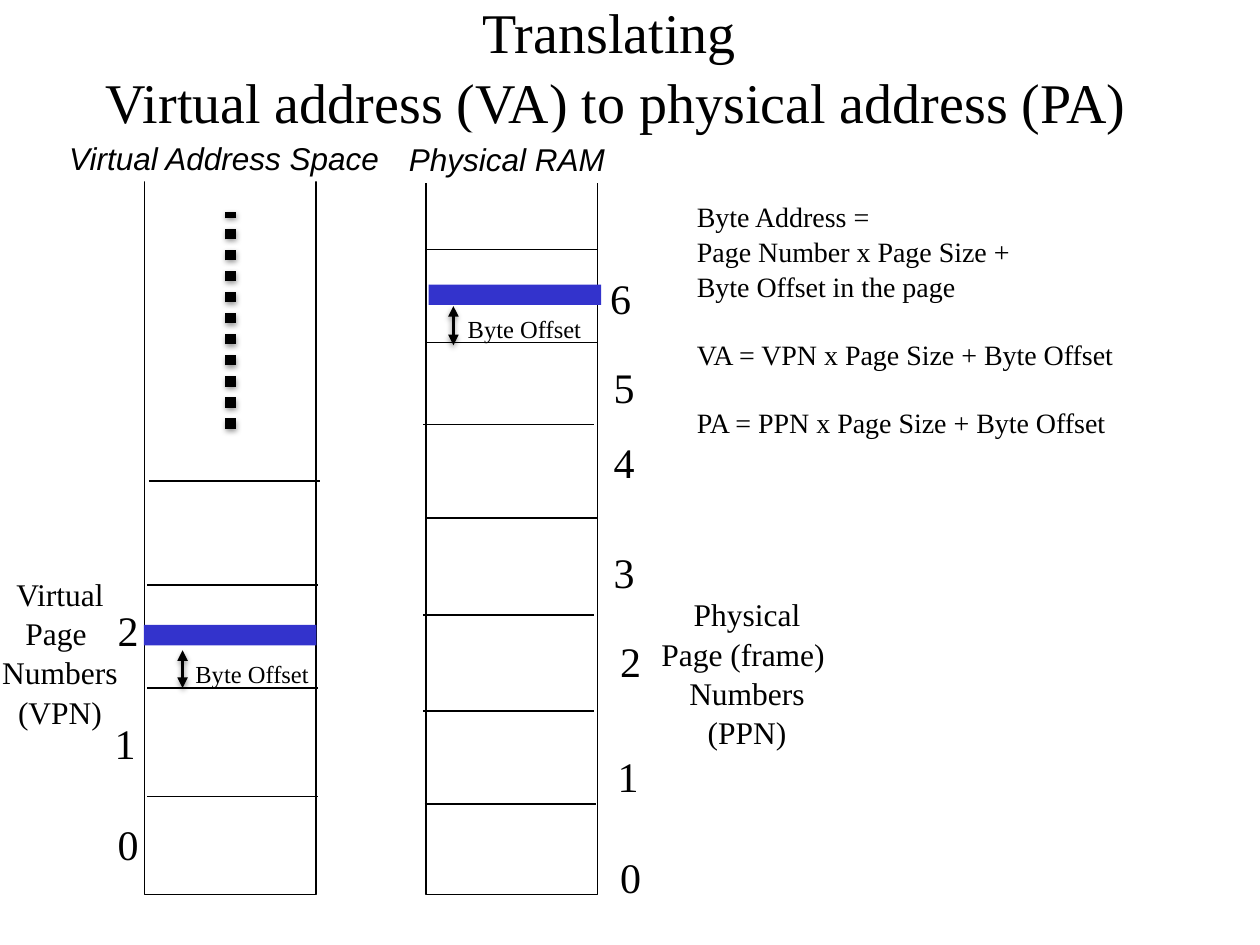
from lxml import etree
from pptx import Presentation
from pptx.dml.color import RGBColor
from pptx.enum.dml import MSO_LINE
from pptx.enum.shapes import MSO_CONNECTOR, MSO_SHAPE
from pptx.enum.text import MSO_ANCHOR, MSO_AUTO_SIZE, PP_ALIGN
from pptx.oxml import parse_xml
from pptx.oxml.ns import nsdecls, qn
from pptx.util import Cm, Pt

COLOURS = {"ink": "000000", "paper": "FFFFFF", "byte": "3333CC"}
SERIF, SANS = "Times New Roman", "Arial"
COLUMN_WIDTH = 3.45
COLUMN_BOTTOM = 18.03

TITLE = "Translating \vVirtual address (VA) to physical address (PA)"

# Positions in cm; dividers, pages and offset arrows are (left, top) points.
MEMORIES = [
    {
        "column": (2.92, 2.9),
        "heading": ("Virtual Address Space", 1.22, 2.64, 6.6),
        "dividers": [(2.97, 16.05), (2.97, 13.87), (2.97, 11.79), (3.0, 9.7)],
        "pages": [(2.24, 16.33), (2.18, 14.3), (2.24, 12.01)],
        "byte": (2.9, 12.6),
        "arrow": (3.68, 13.11, 13.87),
        "offset": (3.81, 13.13),
        "caption": (["Virtual", "Page ", "Numbers", "(VPN)"], 0, 11.43, 2.42),
    },
    {
        "column": (8.59, 3.48),
        "heading": ("Physical RAM", 8.1, 2.67, 4.24),
        "dividers": [(8.56, 16.21), (8.53, 14.33), (8.53, 12.4), (8.59, 10.44),
                     (8.53, 8.56), (8.59, 6.91), (8.59, 5.03)],
        "pages": [(12.37, 16.99), (12.32, 14.96), (12.37, 12.65), (12.24, 10.85),
                  (12.24, 8.64), (12.24, 7.11), (12.17, 5.33)],
        "byte": (8.64, 5.74),
        "arrow": (9.14, 6.17, 6.96),
        "offset": (9.3, 6.17),
        "caption": (["Physical", "Page (frame) ", "Numbers", "(PPN)"], 13.18, 11.84, 3.76),
    },
]

# Each formula line with the space before it in points.
FORMULAS = [
    ("Byte Address =", 0),
    ("Page Number x Page Size +", 0),
    ("Byte Offset in the page", 0),
    ("VA = VPN x Page Size + Byte Offset", 19),
    ("PA = PPN x Page Size + Byte Offset", 19),
]


def colour(name):
    return RGBColor.from_string(COLOURS[name])


def set_attributes(target, **values):
    for name, value in values.items():
        setattr(target, name, value)


def write(shape, lines, size, font=SERIF, align=PP_ALIGN.LEFT, italic=None,
          wrap=False, anchor=MSO_ANCHOR.TOP):
    """Fill the shape with (text, space before) lines in one format."""
    frame = shape.text_frame
    inset = Cm(0.13)
    set_attributes(frame, margin_left=inset, margin_right=inset, margin_top=inset,
                   margin_bottom=inset, word_wrap=wrap, vertical_anchor=anchor,
                   auto_size=MSO_AUTO_SIZE.NONE)
    for index, (text, space) in enumerate(lines):
        paragraph = frame.add_paragraph() if index else frame.paragraphs[0]
        paragraph.text = text
        set_attributes(paragraph, alignment=align, space_before=Pt(space),
                       space_after=Pt(0), line_spacing=1.04)
        for run in paragraph.runs:
            set_attributes(run.font, size=Pt(size), name=font, italic=italic)
            run.font.color.rgb = colour("ink")


def add_text(slide, lines, left, top, width, height, size, **style):
    box = slide.shapes.add_textbox(Cm(left), Cm(top), Cm(width), Cm(height))
    write(box, lines, size, **style)


def add_rectangle(slide, left, top, width, height, fill=None, line=None):
    shape = slide.shapes.add_shape(
        MSO_SHAPE.RECTANGLE, Cm(left), Cm(top), Cm(width), Cm(height))
    shape.shadow.inherit = False
    if fill:
        shape.fill.solid()
        shape.fill.fore_color.rgb = colour(fill)
    else:
        shape.fill.background()
    if line:
        shape.line.color.rgb = colour(line)
        shape.line.width = Pt(0.75)
    else:
        shape.line.fill.background()
    return shape


def add_line(slide, start, end, width=0.75, shadow=False):
    line = slide.shapes.add_connector(
        MSO_CONNECTOR.STRAIGHT, *(Cm(value) for value in (*start, *end)))
    line.line.color.rgb = colour("ink")
    line.line.width = Pt(width)
    effects = ""
    if shadow:
        effects = (f'<a:outerShdw blurRad="{Pt(3)}" dist="{Pt(1.6)}" dir="5400000" '
                   f'rotWithShape="0"><a:srgbClr val="{COLOURS["ink"]}">'
                   '<a:alpha val="38000"/></a:srgbClr></a:outerShdw>')
    line._element.spPr.append(parse_xml(
        f'<a:effectLst {nsdecls("a")}>{effects}</a:effectLst>'))
    return line


def add_double_arrow(slide, left, top, bottom):
    arrow = add_line(slide, (left, top), (left, bottom), 2, shadow=True)
    outline = arrow.line._get_or_add_ln()
    for end in ("a:headEnd", "a:tailEnd"):
        etree.SubElement(outline, qn(end), type="triangle")


def add_memory(slide, memory):
    left, top = memory["column"]
    add_rectangle(slide, left, top, COLUMN_WIDTH, COLUMN_BOTTOM - top, line="ink")

    text, left, top, width = memory["heading"]
    heading = add_rectangle(slide, left, top, width, 1.02, fill="paper")
    write(heading, [(text, 0)], 18, font=SANS, align=PP_ALIGN.CENTER, italic=True)

    for left, top in memory["dividers"]:
        add_line(slide, (left, top), (left + COLUMN_WIDTH, top))
    for number, (left, top) in enumerate(memory["pages"]):
        add_text(slide, [(str(number), 0)], left, top, 0.69, 1.27, 24)

    add_rectangle(slide, *memory["byte"], 3.48, 0.41, fill="byte")
    add_double_arrow(slide, *memory["arrow"])
    add_text(slide, [("Byte Offset", 0)], *memory["offset"], 2.57, 0.86, 14)

    words, left, top, width = memory["caption"]
    add_text(slide, [(word, 0) for word in words], left, top, width, 3.33, 18,
             align=PP_ALIGN.CENTER)


def main():
    presentation = Presentation()
    set_attributes(presentation, slide_width=Cm(25.4), slide_height=Cm(19.05))
    slide = presentation.slides.add_slide(presentation.slide_layouts[5])

    title = slide.shapes.title
    set_attributes(title, left=Cm(1.63), top=Cm(0.3), width=Cm(21.59), height=Cm(2.01))
    write(title, [(TITLE, 0)], 32, align=PP_ALIGN.CENTER, wrap=True,
          anchor=MSO_ANCHOR.MIDDLE)

    for memory in MEMORIES:
        add_memory(slide, memory)
    dots = add_line(slide, (4.65, 8.64), (4.65, 4.27), 6, shadow=True)
    dots.line.dash_style = MSO_LINE.ROUND_DOT
    add_text(slide, FORMULAS, 13.92, 3.86, 10.36, 6.4, 16, wrap=True)

    presentation.save("out.pptx")


if __name__ == "__main__":
    main()
